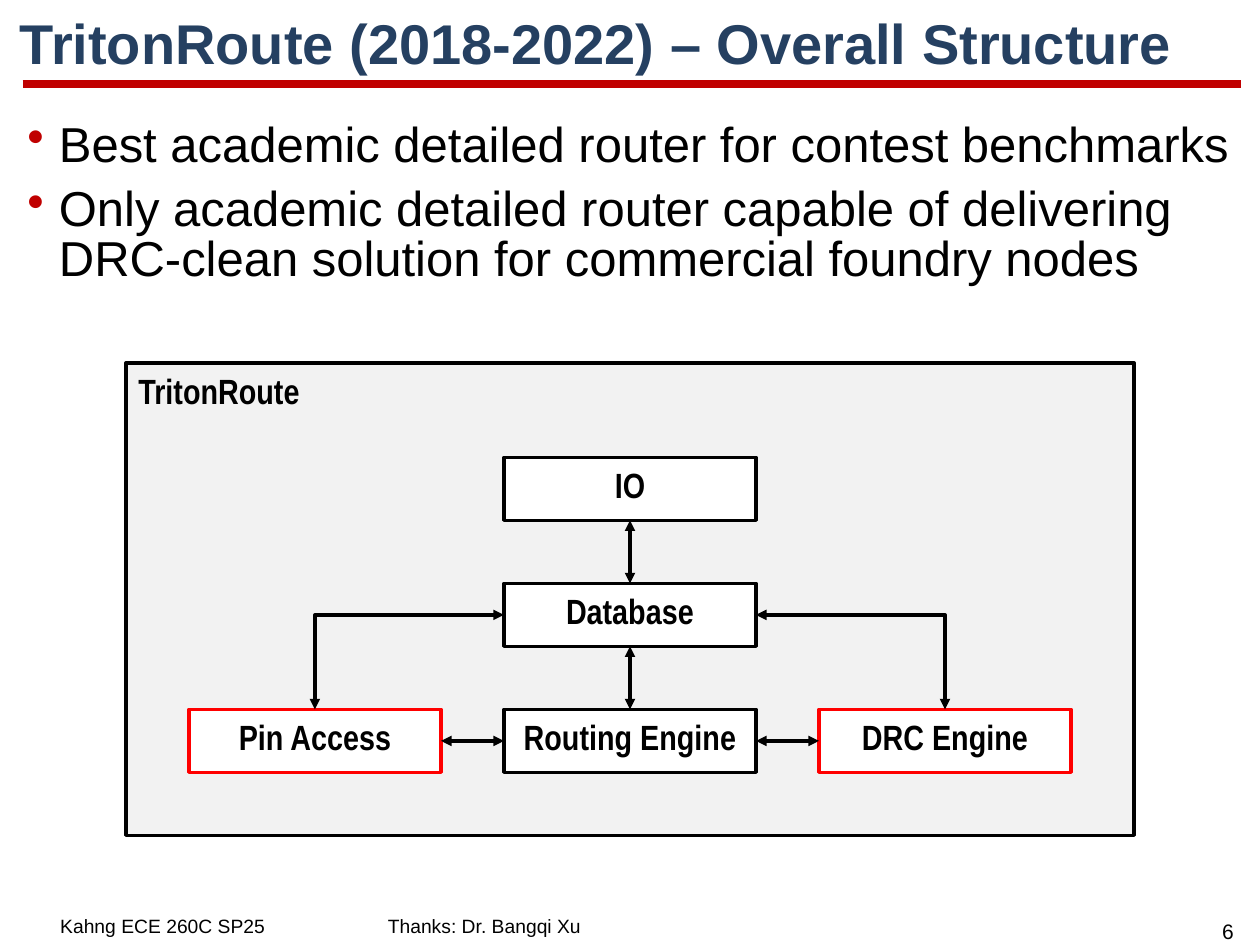
from lxml import etree
from pptx import Presentation
from pptx.dml.color import RGBColor
from pptx.enum.shapes import MSO_CONNECTOR as CONN, MSO_SHAPE
from pptx.enum.text import MSO_ANCHOR as ANCHOR, PP_ALIGN as ALIGN
from pptx.oxml.ns import qn
from pptx.util import Inches, Pt

TOP, LEFT, BOTTOM, RIGHT = range(4)
BLACK, WHITE, RED, CRIMSON = "000000", "FFFFFF", "FF0000", "C00000"


def rgb(value):
    return RGBColor.from_string(value)


def set_attrs(target, values):
    for name, value in values.items():
        setattr(target, name, value)


class SlideBuilder:
    font = "Arial"
    box_font = "Arial Narrow"
    line_width = 2

    def __init__(self, slide):
        self.s = slide

    def style_text(self, p, text, size, color=BLACK, bold=False, font=None, **para):
        """Add one formatted run to a paragraph and set paragraph values."""
        r = p.add_run()
        r.text = text
        set_attrs(r.font, {"name": font or self.font, "size": Pt(size), "bold": bold})
        r.font.color.rgb = rgb(color)
        set_attrs(p, para)

    def frame(self, at, anchor=ANCHOR.TOP):
        """Add a wrapping text box and return its text frame."""
        tf = self.s.shapes.add_textbox(*map(Inches, at)).text_frame
        set_attrs(tf, {"word_wrap": True, "vertical_anchor": anchor})
        return tf

    def text(self, at, text, size, anchor=ANCHOR.TOP, **style):
        self.style_text(self.frame(at, anchor).paragraphs[0], text, size, **style)

    def bullets(self, at, items, size):
        tf = self.frame(at)
        for i, item in enumerate(items):
            p = tf.add_paragraph() if i else tf.paragraphs[0]
            pPr = p._p.get_or_add_pPr()
            pPr.set("marL", str(Inches(0.31)))
            pPr.set("indent", str(Inches(-0.25)))
            color = etree.SubElement(pPr, qn("a:buClr"))
            etree.SubElement(color, qn("a:srgbClr"), val=CRIMSON)
            etree.SubElement(pPr, qn("a:buChar"), char="•")
            self.style_text(p, item, size, line_spacing=0.85,
                            space_before=Pt(8.4 if i else 0))

    def box(self, at, text, fill=WHITE, line=BLACK, align=ALIGN.CENTER):
        sp = self.s.shapes.add_shape(MSO_SHAPE.RECTANGLE, *map(Inches, at))
        sp.shadow.inherit = False
        sp.fill.solid()
        sp.fill.fore_color.rgb = rgb(fill)
        sp.line.color.rgb = rgb(line)
        sp.line.width = Pt(self.line_width)
        tf = sp.text_frame
        set_attrs(tf, {"word_wrap": False, "vertical_anchor": ANCHOR.TOP})
        self.style_text(tf.paragraphs[0], text, 20, bold=True, font=self.box_font,
                        alignment=align)
        return sp

    def line(self, start, end, color=BLACK, width=line_width, kind=CONN.STRAIGHT):
        c = self.s.shapes.add_connector(kind, *map(Inches, start + end))
        c.line.color.rgb = rgb(color)
        c.line.width = Pt(width)
        etree.SubElement(c._element.spPr, qn("a:effectLst"))
        return c

    def link(self, a, side_a, b, side_b, kind=CONN.STRAIGHT):
        """Join two boxes with a double-headed arrow."""
        c = self.line((0, 0), (1, 1), kind=kind)
        c.begin_connect(a, side_a)
        c.end_connect(b, side_b)
        spPr = c._element.spPr
        if kind == CONN.ELBOW:
            spPr.find(qn("a:prstGeom")).set("prst", "bentConnector2")
        for end in ("a:headEnd", "a:tailEnd"):
            etree.SubElement(spPr.find(qn("a:ln")), qn(end), type="triangle")


def main():
    prs = Presentation()
    prs.slide_width, prs.slide_height = Inches(10), Inches(7.5)
    b = SlideBuilder(prs.slides.add_slide(prs.slide_layouts[6]))

    b.line((0.18, 0.67), (9.85, 0.67), CRIMSON, 4.5)
    b.text((9.5, 7.24, 0.49, 0.3), "6", 12, alignment=ALIGN.CENTER)
    b.bullets((0.06, 0.92, 9.93, 6.08), [
        "Best academic detailed router for contest benchmarks",
        "Only academic detailed router capable of delivering "
        "DRC-clean solution for commercial foundry nodes",
    ], 28)
    b.text((0.06, 0.04, 9.93, 0.65), "TritonRoute (2018-2022) – Overall Structure",
           32, ANCHOR.MIDDLE, color="254061", bold=True, line_spacing=0.9)

    b.box((1, 2.88, 8, 3.75), "TritonRoute", "F2F2F2", align=ALIGN.LEFT)

    def module(col, row, text, line=BLACK):
        return b.box((1.5 + 2.5 * col, 3.63 + row, 2, 0.5), text, line=line)

    in_out = module(1, 0, "IO")
    database = module(1, 1, "Database")
    pins = module(0, 2, "Pin Access", RED)
    routing = module(1, 2, "Routing Engine")
    drc = module(2, 2, "DRC Engine", RED)

    b.link(database, LEFT, pins, TOP, CONN.ELBOW)
    b.link(database, RIGHT, drc, TOP, CONN.ELBOW)
    b.link(pins, RIGHT, routing, LEFT)
    b.link(routing, RIGHT, drc, LEFT)
    b.link(routing, TOP, database, BOTTOM)
    b.link(database, TOP, in_out, BOTTOM)

    for x, note in ((0.38, "Kahng ECE 260C SP25"), (2.98, "Thanks: Dr. Bangqi Xu")):
        b.text((x, 7.21, 1.87, 0.27), note, 11)

    prs.save("out.pptx")


if __name__ == "__main__":
    main()
